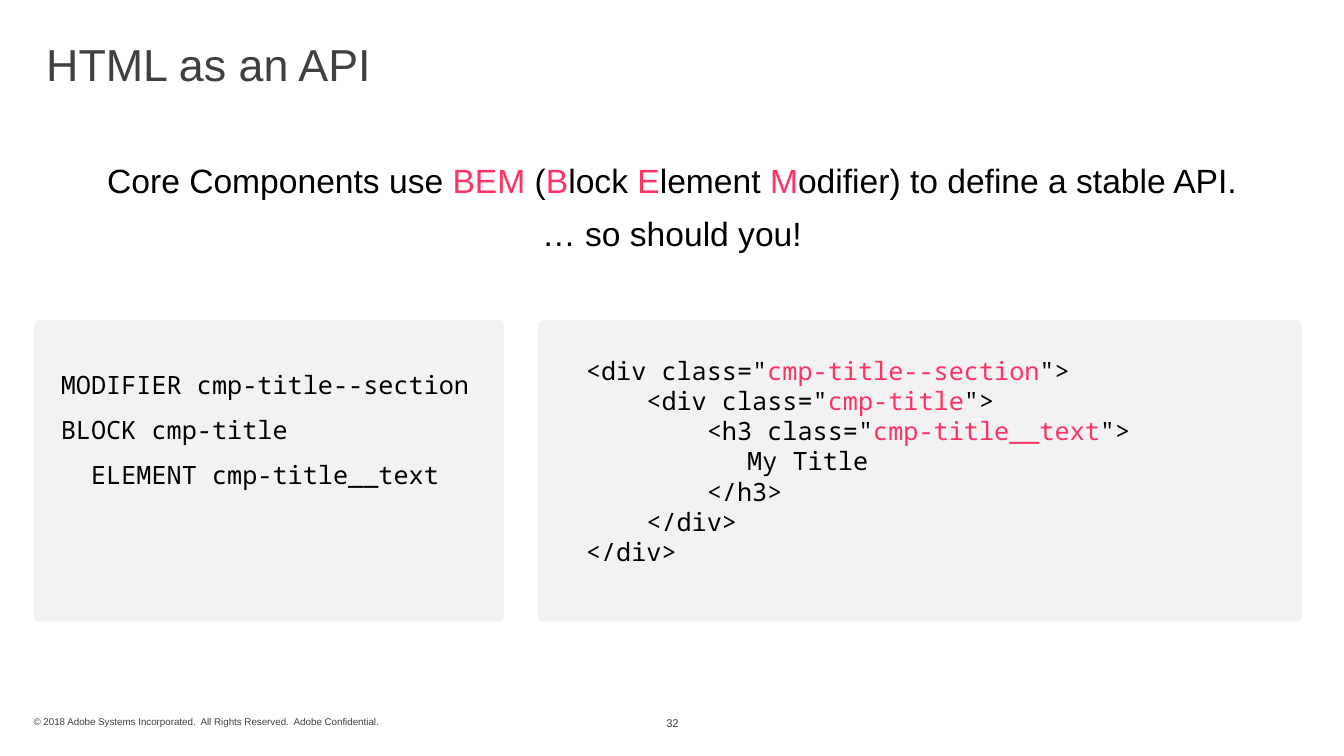
from lxml import etree
from pptx import Presentation, util as u
from pptx.dml.color import RGBColor
from pptx.enum import shapes, text
from pptx.oxml.ns import qn

PX = 9525  # EMU in one px, at 96 px to the inch
SANS, MONO = "Arial", "Noto Sans Mono"
BLACK, GREY, PINK, PANEL = "000000", "404040", "FF3265", "F2F2F2"
TEXT_INSETS = (12, 6, 12, 6)
CODE_INSETS = (10, 5, 10, 5)

INTRO = [
    [("Core Components use ", BLACK), ("BEM", PINK), (" (", BLACK),
     ("B", PINK), ("lock ", BLACK), ("E", PINK), ("lement ", BLACK),
     ("M", PINK), ("odifier) to define a stable API.", BLACK)],
    [("… so should you!", BLACK)],
]
NAMES = ["MODIFIER cmp-title--section", "BLOCK cmp-title",
         "  ELEMENT cmp-title__text"]
MARKUP = [
    ('<div class="', "cmp-title--section", '">'),
    ('    <div class="', "cmp-title", '">'),
    ('        <h3 class="', "cmp-title__text", '">'),
    ("\t\t    My Title",),
    ("        </h3>",),
    ("    </div>",),
    ("</div>",),
]


def px(n):
    return u.Emu(n * PX)


def rgb(value):
    return RGBColor.from_string(value)


def place(sp, box):
    sp.left, sp.top, sp.width, sp.height = map(px, box)


def add_tab_stops(p, stops):
    tabs = etree.SubElement(p._p.get_or_add_pPr(), qn("a:tabLst"))
    for stop in stops:
        etree.SubElement(tabs, qn("a:tab"), pos=str(px(stop)), algn="l")


def write(sp, lines, size, font=SANS, insets=TEXT_INSETS,
          anchor=text.MSO_ANCHOR.TOP, align=text.PP_ALIGN.LEFT,
          spacing=None, before=0):
    """Fill a shape with lines, each a list of (words, colour) runs."""
    tf = sp.text_frame
    tf.word_wrap = True
    tf.auto_size = text.MSO_AUTO_SIZE.NONE
    tf.vertical_anchor = anchor
    (tf.margin_left, tf.margin_top,
     tf.margin_right, tf.margin_bottom) = map(px, insets)
    for i, line in enumerate(lines):
        p = tf.add_paragraph() if i else tf.paragraphs[0]
        p.alignment = align
        if spacing:
            p.line_spacing = spacing
        if i and before:
            p.space_before = u.Pt(before)
        if line[0][0].startswith("\t"):
            add_tab_stops(p, (48, 96))
        for words, colour in line:
            r = p.add_run()
            r.text = words
            r.font.name = font
            r.font.size = u.Pt(size)
            r.font.color.rgb = rgb(colour)


def add_text(s, box, lines, size, **style):
    sp = s.shapes.add_textbox(*map(px, box))
    write(sp, lines, size, **style)


def add_panel(s, box):
    sp = s.shapes.add_shape(shapes.MSO_SHAPE.ROUNDED_RECTANGLE, *map(px, box))
    sp.adjustments[0] = 0.018
    sp.shadow.inherit = False
    sp.fill.solid()
    sp.fill.fore_color.rgb = rgb(PANEL)
    sp.line.fill.background()


def add_code(s, panel, box, lines, **style):
    add_panel(s, panel)
    add_text(s, box, lines, 18, font=MONO, insets=CODE_INSETS, **style)


def main():
    prs = Presentation()
    prs.slide_width, prs.slide_height = px(1280), px(720)
    s = prs.slides.add_slide(prs.slide_layouts.get_by_name("Title Only"))
    middle, centre = text.MSO_ANCHOR.MIDDLE, text.PP_ALIGN.CENTER

    place(s.shapes.title, (32, 30, 1215, 62))
    write(s.shapes.title, [[("HTML as an API", GREY)]], 32, anchor=middle)
    add_text(s, (0, 146, 1280, 113), INTRO, 24, align=centre, before=9)

    add_code(s, (32, 305, 448, 287), (48, 332, 411, 137),
             [[(name, BLACK)] for name in NAMES], spacing=1.5)
    add_code(s, (512, 305, 728, 287), (548, 333, 657, 213),
             [list(zip(parts, (BLACK, PINK, BLACK))) for parts in MARKUP])

    add_text(s, (32, 681, 544, 12),
             [[("© 2018 Adobe Systems Incorporated.  All Rights Reserved.  "
                "Adobe Confidential.", GREY)]],
             7, insets=(0, 0, 0, 0), anchor=text.MSO_ANCHOR.BOTTOM)
    add_text(s, (587, 680, 107, 17), [[("32", GREY)]], 8,
             anchor=middle, align=centre)
    prs.save("out.pptx")


if __name__ == "__main__":
    main()
